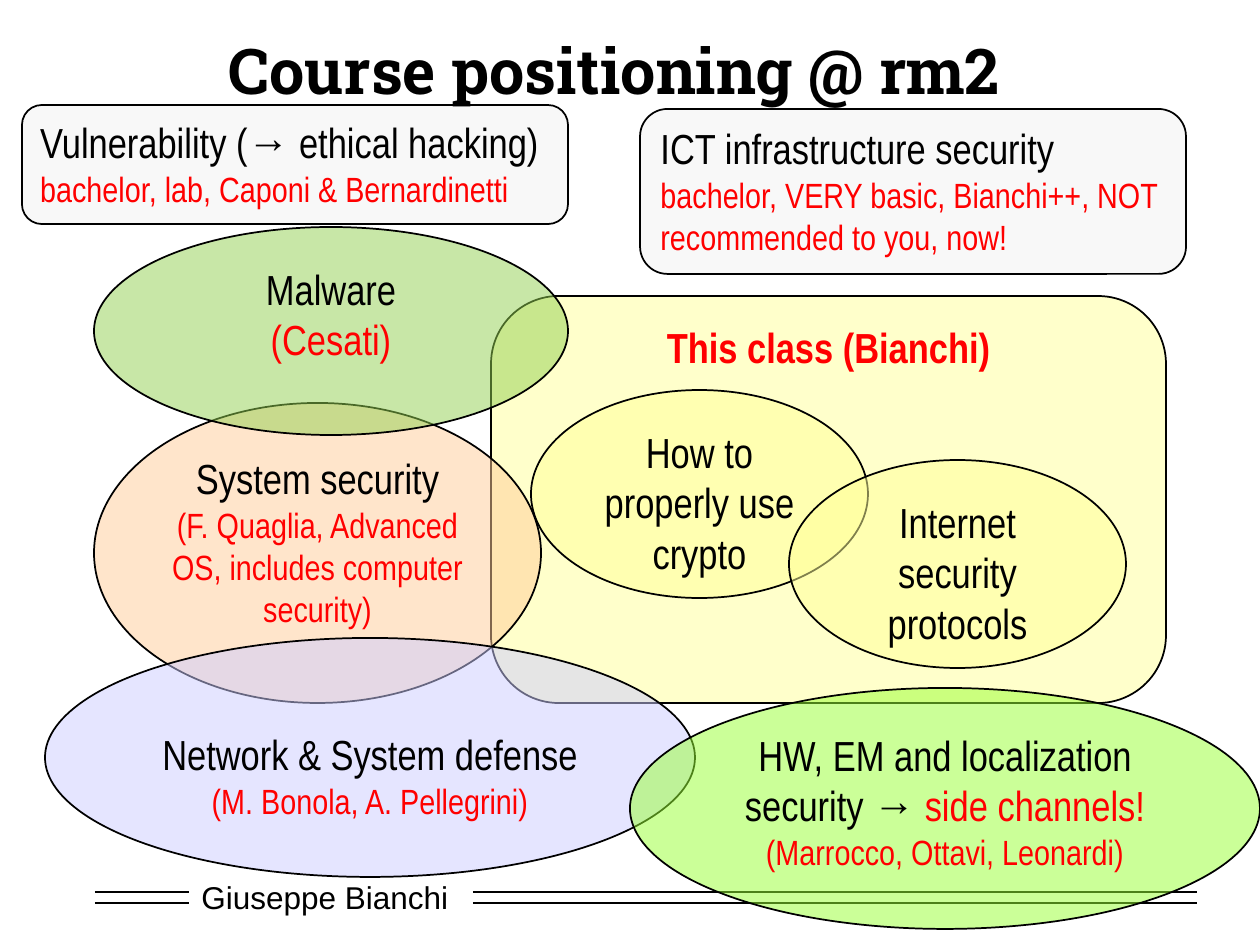
"""Build the slide that positions this course among the related security courses."""
from lxml import etree
from pptx import Presentation
from pptx import util as u
from pptx.dml.color import RGBColor
from pptx.enum import shapes, text
from pptx.oxml.ns import qn

PX = 914400 / 126
BLACK, RED = "000000", "FF0000"
NARROW = "Arial Narrow"
OVAL, ROUND = shapes.MSO_SHAPE.OVAL, shapes.MSO_SHAPE.ROUNDED_RECTANGLE
LEFT, CENTER = text.PP_ALIGN.LEFT, text.PP_ALIGN.CENTER
INSET, EMPTY_LINE = 6, 50

TITLE = ("Course positioning @ rm2", (84, 19, 1061, 100))
AUTHOR = ("Giuseppe Bianchi", (189, 872, 273, 50))
RULE_SPANS = [(95, 189), (473, 1197)]
RULE_ROWS = [892, 903]

# kind, box, fill, alignment, top inset, paragraphs of (text, size, colour, bold) runs
TOPICS = [
    (ROUND, (491, 296, 675, 407), "FFFF99", CENTER, INSET,
     [[("This class (Bianchi)", 24, RED, True)]]),
    (OVAL, (531, 390, 337, 208), "FFFF99", CENTER, INSET,
     [[("How to properly use crypto", 24, BLACK, False)]]),
    (OVAL, (789, 460, 337, 208), "FFFF99", CENTER, INSET,
     [[("Internet security protocols", 24, BLACK, False)]]),
    (OVAL, (94, 403, 447, 300), "FFCC99", CENTER, INSET,
     [[("System security", 24, BLACK, False)],
      [("(F. Quaglia, Advanced OS, includes computer security)", 20, RED, False)]]),
    (OVAL, (45, 638, 650, 239), "CCCCFF", CENTER, INSET + EMPTY_LINE,
     [[("Network & System defense", 24, BLACK, False)],
      [("(M. Bonola, A. Pellegrini)", 20, RED, False)]]),
    (OVAL, (630, 688, 630, 241), "99FF33", CENTER, INSET,
     [[("HW, EM and localization security → ", 24, BLACK, False),
       ("side channels!", 24, RED, False)],
      [("(Marrocco, Ottavi, Leonardi)", 20, RED, False)]]),
    (OVAL, (94, 227, 474, 208), "92D050", CENTER, INSET,
     [[("Malware", 24, BLACK, False)], [("(Cesati)", 24, RED, False)]]),
    (ROUND, (22, 105, 546, 119), "F2F2F2", LEFT, INSET,
     [[("Vulnerability (→ ethical hacking)", 24, BLACK, False)],
      [("bachelor, lab, Caponi & Bernardinetti", 20, RED, False)]]),
    (ROUND, (640, 109, 546, 165), "F2F2F2", LEFT, INSET,
     [[("ICT infrastructure security", 24, BLACK, False)],
      [("bachelor, VERY basic, Bianchi++, NOT recommended to you, now!", 20, RED, False)]]),
]


def px(n):
    return u.Emu(round(n * PX))


def rgb(value):
    return RGBColor.from_string(value)


def add_run(p, words, size, color, bold=False, font=NARROW):
    r = p.add_run()
    r.text = words
    r.font.size, r.font.name, r.font.bold = u.Pt(size), font, bold
    r.font.color.rgb = rgb(color)


def set_line(line):
    line.color.rgb = rgb(BLACK)
    line.width = u.Pt(1)


def add_title(s):
    words, box = TITLE
    sp = s.shapes.title
    sp.left, sp.top, sp.width, sp.height = map(px, box)
    tf = sp.text_frame
    tf.vertical_anchor = text.MSO_ANCHOR.MIDDLE
    tf.paragraphs[0].alignment = CENTER
    add_run(tf.paragraphs[0], words, 36, BLACK, True, "Roboto Slab")


def add_footer(s):
    words, box = AUTHOR
    sp = s.shapes.add_textbox(*map(px, box))
    sp.fill.solid()
    sp.fill.fore_color.rgb = rgb("FFFFFF")
    tf = sp.text_frame
    tf.word_wrap = True
    tf.vertical_anchor = text.MSO_ANCHOR.MIDDLE
    add_run(tf.paragraphs[0], words, 18, BLACK, font="Arial")
    for y in RULE_ROWS:
        for x1, x2 in RULE_SPANS:
            rule = s.shapes.add_connector(shapes.MSO_CONNECTOR.STRAIGHT, *map(px, (x1, y, x2, y)))
            set_line(rule.line)
            etree.SubElement(rule._element.spPr, qn("a:effectLst"))


def add_topic(s, kind, box, fill, align, top, paragraphs):
    sp = s.shapes.add_shape(kind, *map(px, box))
    sp.shadow.inherit = False
    sp.fill.solid()
    sp.fill.fore_color.rgb = rgb(fill)
    color = sp._element.spPr.find(qn("a:solidFill")).find(qn("a:srgbClr"))
    etree.SubElement(color, qn("a:alpha")).set("val", "50000")
    set_line(sp.line)
    tf = sp.text_frame
    tf.word_wrap = True
    tf.vertical_anchor = text.MSO_ANCHOR.TOP
    tf.margin_top = px(top)
    for i, runs in enumerate(paragraphs):
        p = tf.add_paragraph() if i else tf.paragraphs[0]
        p.alignment = align
        for run in runs:
            add_run(p, *run)


def main():
    prs = Presentation()
    prs.slide_width, prs.slide_height = px(1260), px(945)
    s = prs.slides.add_slide(prs.slide_layouts[5])
    add_title(s)
    add_footer(s)
    for topic in TOPICS:
        add_topic(s, *topic)
    prs.save("out.pptx")


if __name__ == "__main__":
    main()
